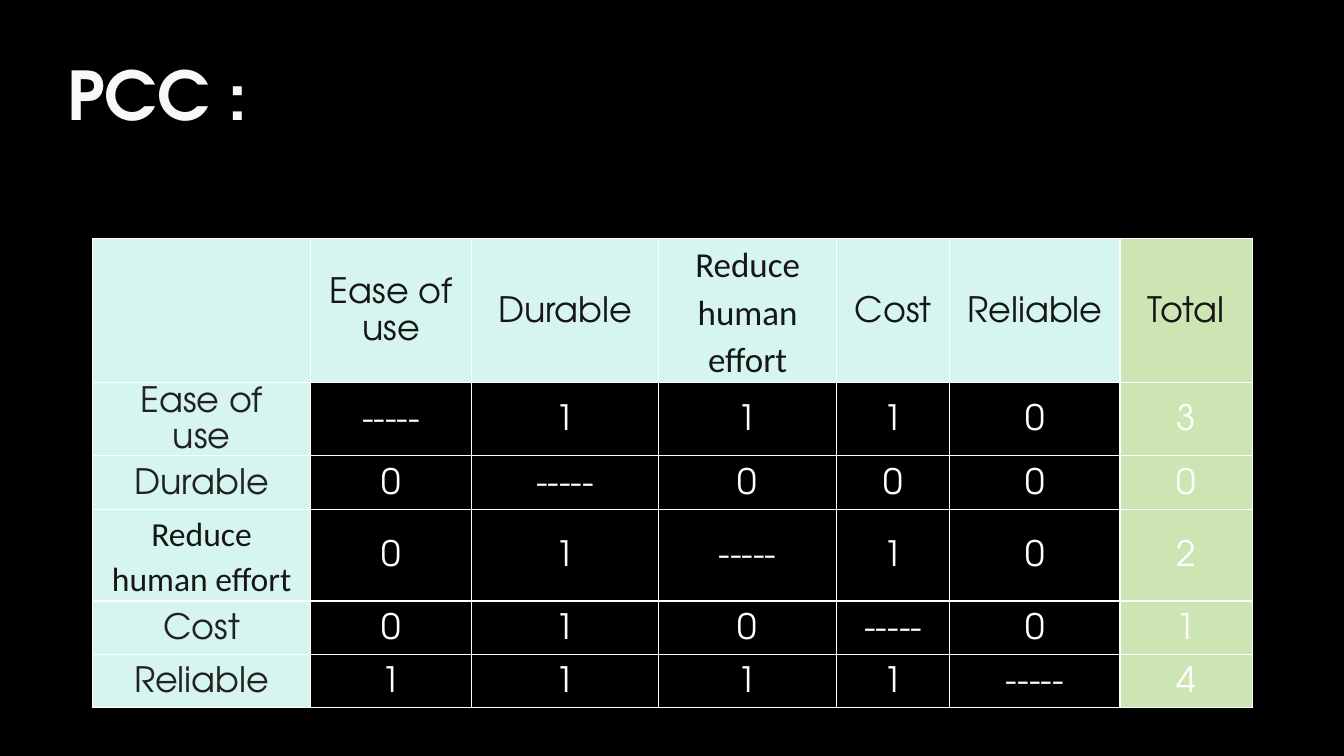
from lxml.etree import SubElement
from pptx import Presentation
from pptx.dml.color import RGBColor
from pptx.enum.dml import MSO_PATTERN
from pptx.enum.text import MSO_ANCHOR, MSO_AUTO_SIZE, PP_ALIGN
from pptx.oxml import parse_xml
from pptx.oxml.ns import nsdecls, qn
from pptx.util import Inches, Pt

TITLE = "PCC :"
CRITERIA = ["Ease of use", "Durable", "Reduce human effort", "Cost", "Reliable"]
SCORES = [
    ["-----", "1", "1", "1", "0", "3"],
    ["0", "-----", "0", "0", "0", "0"],
    ["0", "1", "-----", "1", "0", "2"],
    ["0", "1", "0", "-----", "0", "1"],
    ["1", "1", "1", "1", "-----", "4"],
]
ROWS = [["", *CRITERIA, "Total"]] + [[name, *scores] for name, scores in zip(CRITERIA, SCORES)]
COLUMN_WIDTHS = [2.16, 1.6, 1.85, 1.77, 1.12, 1.69, 1.31]
ROW_HEIGHTS = [1.42, 0.73, 0.53, 0.91, 0.53, 0.53]
LEFT, TOP = 0.92, 2.37
LABEL_FONT, WIDE_LABEL_FONT = "TeX Gyre Adventor", "Calibri"
BLACK, WHITE, MINT, GREEN = "000000", "FFFFFF", "D5F5EE", "CDE4B3"
HEADER_INK, LABEL_INK = "161616", "222222"


def color(value):
    return RGBColor.from_string(value)


def write(frame, text, size=25, font=LABEL_FONT, ink=WHITE, bold=False, line_spacing=None, space_after=None):
    para = frame.paragraphs[0]
    para.alignment = PP_ALIGN.CENTER
    para.line_spacing = line_spacing
    if space_after:
        para.space_after = Pt(space_after)
    span = para.add_run()
    span.text = text
    span.font.size = Pt(size)
    span.font.name = font
    span.font.bold = bold
    span.font.color.rgb = color(ink)
    return span


def add_borders(cell):
    properties = cell._tc.get_or_add_tcPr()
    for index, side in enumerate(["lnL", "lnR", "lnT", "lnB"]):
        line = parse_xml(f'<a:{side} {nsdecls("a")} w="{Pt(1)}"/>')
        fill = SubElement(line, qn("a:solidFill"))
        SubElement(fill, qn("a:srgbClr"), val=WHITE)
        properties.insert(index, line)


def add_title(page):
    box = page.shapes.add_textbox(Inches(0.56), Inches(0.48), Inches(2), Inches(0.91))
    frame = box.text_frame
    frame.word_wrap = False
    frame.auto_size = MSO_AUTO_SIZE.SHAPE_TO_FIT_TEXT
    span = write(frame, TITLE, size=48, bold=True)
    fill = span.font.fill
    fill.patterned()
    fill.pattern = MSO_PATTERN.DARK_UPWARD_DIAGONAL
    fill.fore_color.rgb = color("DADADA")
    fill.back_color.rgb = color("F8F8F8")
    outline = parse_xml(f'<a:ln {nsdecls("a")} w="{Pt(1)}"/>')
    outline_fill = SubElement(outline, qn("a:solidFill"))
    SubElement(outline_fill, qn("a:srgbClr"), val="A3A3A3")
    span.font._element.insert(0, outline)


def fill_cell(cell, text, row, column):
    is_header, is_label = row == 0, column == 0
    is_total = column == len(COLUMN_WIDTHS) - 1
    is_wide = text == "Reduce human effort"
    cell.fill.solid()
    cell.fill.fore_color.rgb = color(GREEN if is_total else MINT if is_header or is_label else BLACK)
    add_borders(cell)
    cell.vertical_anchor = MSO_ANCHOR.MIDDLE
    cell.margin_left = cell.margin_right = Inches(0.16)
    cell.margin_top = cell.margin_bottom = 0
    if text:
        write(
            cell.text_frame,
            text,
            size=24 if is_wide and is_label else 25,
            font=WIDE_LABEL_FONT if is_wide else LABEL_FONT,
            ink=HEADER_INK if is_header or is_wide else LABEL_INK if is_label else WHITE,
            line_spacing=1.12,
            space_after=None if is_header else 10.2,
        )


def add_score_table(page):
    table = page.shapes.add_table(
        len(ROWS), len(COLUMN_WIDTHS), Inches(LEFT), Inches(TOP),
        Inches(sum(COLUMN_WIDTHS)), Inches(sum(ROW_HEIGHTS)),
    ).table
    table.horz_banding = False
    table.first_row = False
    for column, width in zip(table.columns, COLUMN_WIDTHS):
        column.width = Inches(width)
    for row, height in zip(table.rows, ROW_HEIGHTS):
        row.height = Inches(height)
    for row, texts in enumerate(ROWS):
        for column, text in enumerate(texts):
            fill_cell(table.cell(row, column), text, row, column)


def main():
    deck = Presentation()
    deck.slide_width, deck.slide_height = Inches(13.33), Inches(7.5)
    page = deck.slides.add_slide(deck.slide_layouts[6])
    page.background.fill.solid()
    page.background.fill.fore_color.rgb = color(BLACK)
    add_score_table(page)
    add_title(page)
    deck.save("out.pptx")


if __name__ == "__main__":
    main()
